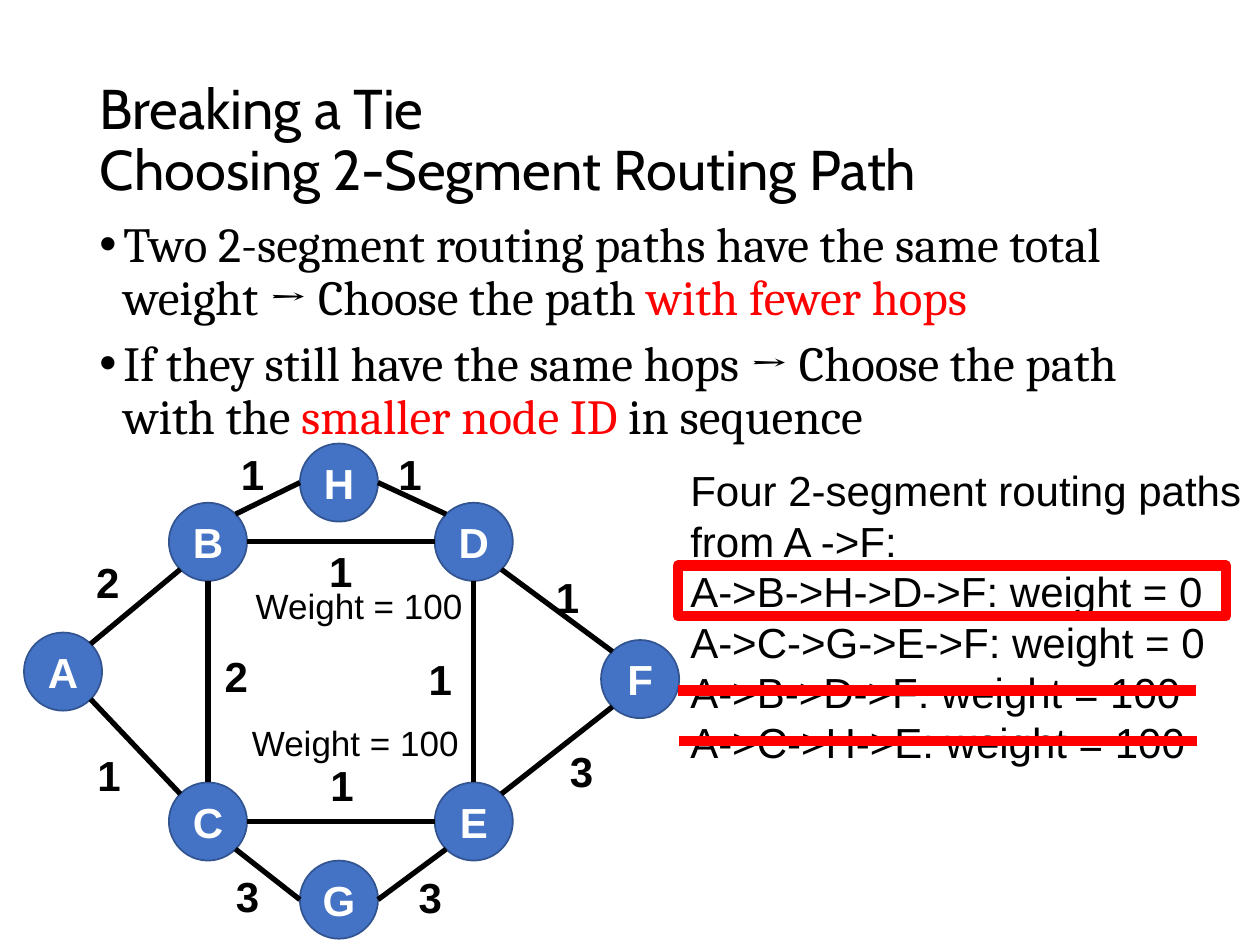
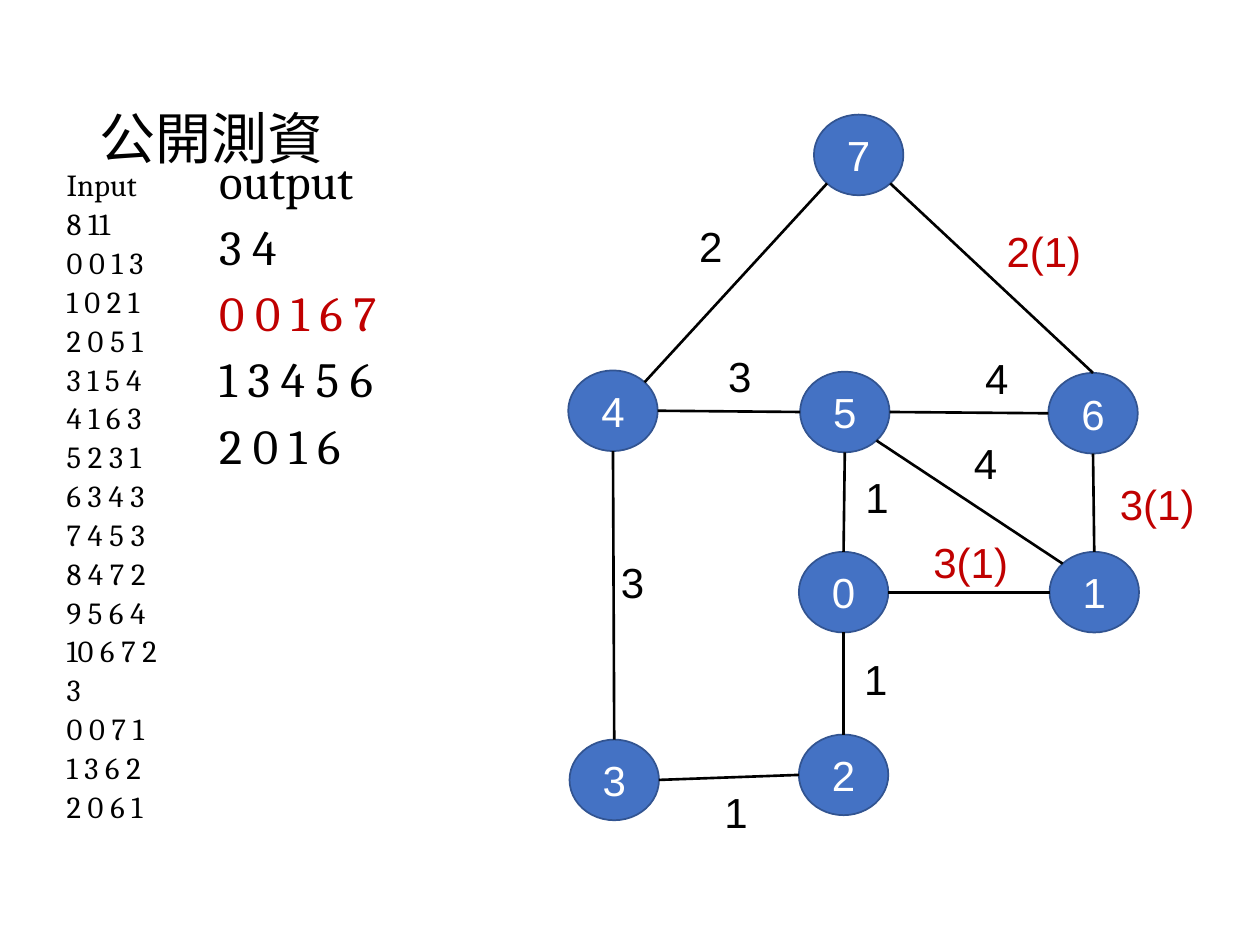
from math import cos, radians, sin

from lxml import etree
from pptx import Presentation
from pptx import util as u
from pptx.dml.color import RGBColor
from pptx.enum import shapes, text
from pptx.oxml import ns

COLORS = {"ink": "000000", "paper": "FFFFFF", "node": "4472C4", "rim": "325491",
          "alert": "FF0000", "changed": "C00000"}
FONTS = {"title": "Cabin", "body": "Cambria", "graph": "Arial"}
SITES = {"e": 0, "se": 45, "s": 90, "sw": 135, "w": 180, "nw": 225, "n": 270, "ne": 315}


class Deck:
    """Holds the shared style and the slide being built."""

    def __init__(self):
        self.prs = Presentation()
        self.prs.slide_width, self.prs.slide_height = u.Inches(10), u.Inches(7.5)
        self.slide = None

    def color(self, name):
        return RGBColor.from_string(COLORS[name])

    def box(self, left, top, width, height):
        return [u.Inches(length) for length in (left, top, width, height)]

    def style(self, target, values):
        for name, value in values.items():
            setattr(target, name, value)

    def fill_text(self, frame, paragraphs, font, size, color="ink", bold=False, bullet=False,
                  **paragraph_format):
        for index, content in enumerate(paragraphs):
            paragraph = frame.add_paragraph() if index else frame.paragraphs[0]
            values = dict(paragraph_format)
            if index == 0:
                values["space_before"] = u.Pt(0)
            self.style(paragraph, values)
            if bullet:
                self.bullet(paragraph)
            runs = [(content, color)] if isinstance(content, str) else content
            for words, run_color in runs:
                self.add_run(paragraph, words, font, size, run_color, bold)

    def add_run(self, paragraph, words, font, size, color, bold):
        for index, line in enumerate(words.split("\n")):
            if index:
                paragraph.add_line_break()
            run = paragraph.add_run()
            run.text = line
            self.style(run.font, {"name": FONTS[font], "size": u.Pt(size), "bold": bold})
            run.font.color.rgb = self.color(color)

    def bullet(self, paragraph):
        properties = paragraph._p.get_or_add_pPr()
        indent = u.Inches(0.19)
        properties.set("marL", str(indent))
        properties.set("indent", str(-indent))
        etree.SubElement(properties, ns.qn("a:buFont")).set("typeface", FONTS["graph"])
        etree.SubElement(properties, ns.qn("a:buChar")).set("char", "•")

    def titled_slide(self, title_text):
        self.slide = self.prs.slides.add_slide(self.prs.slide_layouts[5])
        title = self.slide.shapes.title
        place = self.box(0.69, 0.4, 8.62, 1.45)
        self.style(title, dict(zip(("left", "top", "width", "height"), place)))
        frame = title.text_frame
        self.style(frame, {"auto_size": text.MSO_AUTO_SIZE.NONE, "word_wrap": True,
                           "vertical_anchor": text.MSO_ANCHOR.MIDDLE})
        self.fill_text(frame, [title_text], "title", 32,
                       alignment=text.PP_ALIGN.LEFT, line_spacing=0.9)

    def text_box(self, place, paragraphs, font, size, wrap=True, **style):
        frame = self.slide.shapes.add_textbox(*self.box(*place)).text_frame
        frame.word_wrap = wrap
        self.fill_text(frame, paragraphs, font, size, **style)

    def body(self, place, paragraphs, size, line_spacing=0.9, **style):
        self.text_box(place, paragraphs, "body", size, line_spacing=line_spacing,
                      space_before=u.Pt(7.5), **style)

    def weight(self, words, left, top, **style):
        width = 0.39 if len(words) == 1 else 0.8
        self.text_box((left, top, width, 0.5), [words], "graph", 24, wrap=False, **style)

    def line(self, start, end, width, color="ink"):
        points = [u.Inches(length) for length in (*start, *end)]
        connector = self.slide.shapes.add_connector(shapes.MSO_CONNECTOR.STRAIGHT, *points)
        connector.line.width = u.Pt(width)
        connector.line.color.rgb = self.color(color)
        etree.SubElement(connector._element.spPr, ns.qn("a:effectLst"))

    def frame(self, place, width, color):
        outline = self.slide.shapes.add_shape(shapes.MSO_SHAPE.RECTANGLE, *self.box(*place))
        outline.shadow.inherit = False
        outline.fill.background()
        outline.line.width = u.Pt(width)
        outline.line.color.rgb = self.color(color)

    def node(self, name, left, top, width, height, bold):
        oval = self.slide.shapes.add_shape(
            shapes.MSO_SHAPE.OVAL, *self.box(left, top, width, height))
        oval.shadow.inherit = False
        oval.fill.solid()
        oval.fill.fore_color.rgb = self.color("node")
        oval.line.color.rgb = self.color("rim")
        oval.line.width = u.Pt(1)
        self.style(oval.text_frame, {"word_wrap": False,
                                     "vertical_anchor": text.MSO_ANCHOR.MIDDLE})
        self.fill_text(oval.text_frame, [name], "graph", 24, color="paper", bold=bold,
                       alignment=text.PP_ALIGN.CENTER)

    def graph(self, nodes, edges, width, height, line_width, bold=False):
        def site(name, side):
            left, top = nodes[name]
            angle = radians(SITES[side])
            return (left + width / 2 * (1 + cos(angle)), top + height / 2 * (1 + sin(angle)))

        for name, (left, top) in nodes.items():
            self.node(name, left, top, width, height, bold)
        for start, start_side, end, end_side in edges:
            self.line(site(start, start_side), site(end, end_side), line_width)


def tie_breaking(deck):
    deck.titled_slide("Breaking a Tie \nChoosing 2-Segment Routing Path")
    deck.body((0.69, 1.7, 8.62, 4.76), [
        [("Two 2-segment routing paths have the same total weight → Choose the path ", "ink"),
         ("with fewer hops", "alert")],
        [("If they still have the same hops → Choose the path with the ", "ink"),
         ("smaller node ID ", "alert"), ("in sequence", "ink")],
    ], 28, bullet=True)

    routers = {"A": (0.19, 5.02), "B": (1.34, 3.99), "C": (1.34, 6.21), "D": (3.45, 3.99),
               "E": (3.45, 6.21), "F": (4.77, 5.08), "H": (2.38, 3.52), "G": (2.38, 6.83)}
    links = [("A", "ne", "B", "sw"), ("A", "se", "C", "nw"), ("D", "se", "F", "nw"),
             ("E", "ne", "F", "sw"), ("B", "ne", "H", "w"), ("H", "e", "D", "nw"),
             ("B", "e", "D", "w"), ("C", "e", "E", "w"), ("B", "s", "C", "n"),
             ("D", "s", "E", "n"), ("C", "se", "G", "w"), ("G", "e", "E", "sw")]
    deck.graph(routers, links, 0.62, 0.62, 3, bold=True)

    link_weights = [("2", 0.66, 4.37), ("1", 0.67, 5.9), ("3", 1.77, 6.86), ("1", 1.81, 3.51),
                    ("2", 1.68, 5.11), ("1", 3.06, 3.51), ("1", 4.31, 4.49), ("3", 4.42, 5.87),
                    ("1", 3.3, 5.14), ("3", 3.22, 6.87), ("1", 2.51, 4.28), ("1", 2.52, 5.98)]
    for link_weight in link_weights:
        deck.weight(*link_weight, bold=True, alignment=text.PP_ALIGN.CENTER)

    deck.text_box((5.38, 3.64, 4.71, 2.52), [
        "Four 2-segment routing paths from A ->F:", "A->B->H->D->F: weight = 0",
        "A->C->G->E->F: weight = 0", "A->B->D->F: weight = 100", "A->C->H->E: weight = 100",
    ], "graph", 24)
    for left, top in ((1.93, 4.59), (1.9, 5.68)):
        deck.text_box((left, top, 2.22, 0.44), ["Weight = 100"], "graph", 20)
    for left, strike in ((5.38, 5.48), (5.39, 5.88)):
        deck.line((left, strike), (left + 4.11, strike), 6, "alert")
    deck.frame((5.38, 4.49, 4.35, 0.4), 6, "alert")


def public_test_data(deck):
    deck.titled_slide("公開測資")
    deck.body((0.43, 1.35, 1.91, 5.75), [
        "Input", "8 11", "0 0 1 3", "1 0 2 1", "2 0 5 1", "3 1 5 4", "4 1 6 3", "5 2 3 1",
        "6 3 4 3", "7 4 5 3", "8 4 7 2", "9 5 6 4", "10 6 7 2", "3", "0 0 7 1", "1 3 6 2",
        "2 0 6 1",
    ], 17.5, line_spacing=0.7)

    vertices = {"0": (6.34, 4.38), "4": (4.51, 2.94), "1": (8.33, 4.38), "6": (8.32, 2.96),
                "5": (6.35, 2.95), "3": (4.52, 5.87), "2": (6.34, 5.83), "7": (6.46, 0.91)}
    edges = [("0", "e", "1", "w"), ("0", "s", "2", "n"), ("5", "s", "0", "n"),
             ("5", "se", "1", "nw"), ("1", "n", "6", "s"), ("3", "e", "2", "w"),
             ("3", "n", "4", "s"), ("4", "e", "5", "w"), ("4", "ne", "7", "sw"),
             ("7", "se", "6", "n"), ("5", "e", "6", "w")]
    deck.graph(vertices, edges, 0.71, 0.64, 1.5)

    edge_weights = [("1", 6.76, 5.14), ("1", 6.77, 3.69), ("4", 7.63, 3.42), ("1", 5.65, 6.19),
                    ("3", 4.83, 4.37), ("3", 5.68, 2.73), ("2", 5.45, 1.7), ("4", 7.72, 2.75)]
    changed_weights = [("3(1)", 7.31, 4.21), ("3(1)", 8.79, 3.75), ("2(1)", 7.89, 1.74)]
    for edge_weight in edge_weights:
        deck.weight(*edge_weight)
    for changed_weight in changed_weights:
        deck.weight(*changed_weight, color="changed")

    deck.body((1.64, 1.2, 1.91, 5.75), [
        "output", "3 4", [("0 0 1 6 7", "changed")], "1 3 4 5 6", "2 0 1 6"], 28)


def main():
    deck = Deck()
    tie_breaking(deck)
    public_test_data(deck)
    deck.prs.save("out.pptx")


if __name__ == "__main__":
    main()
